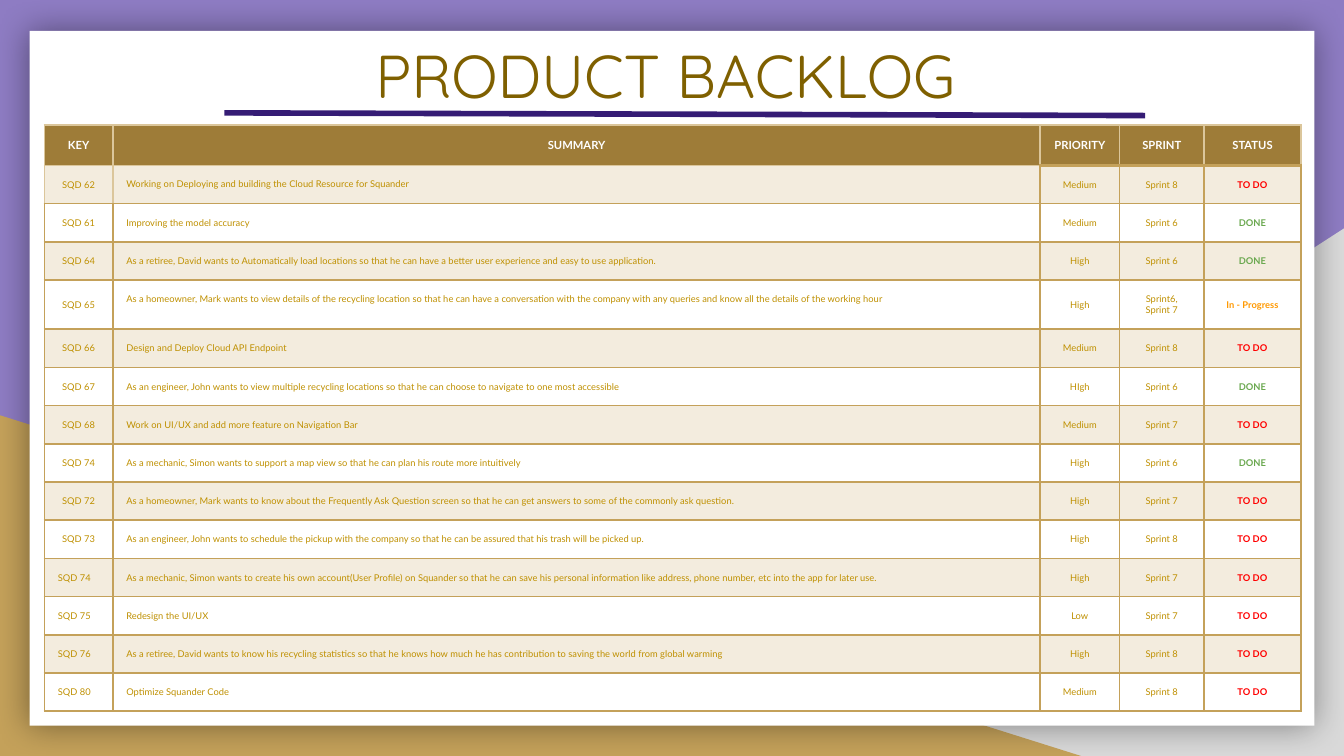
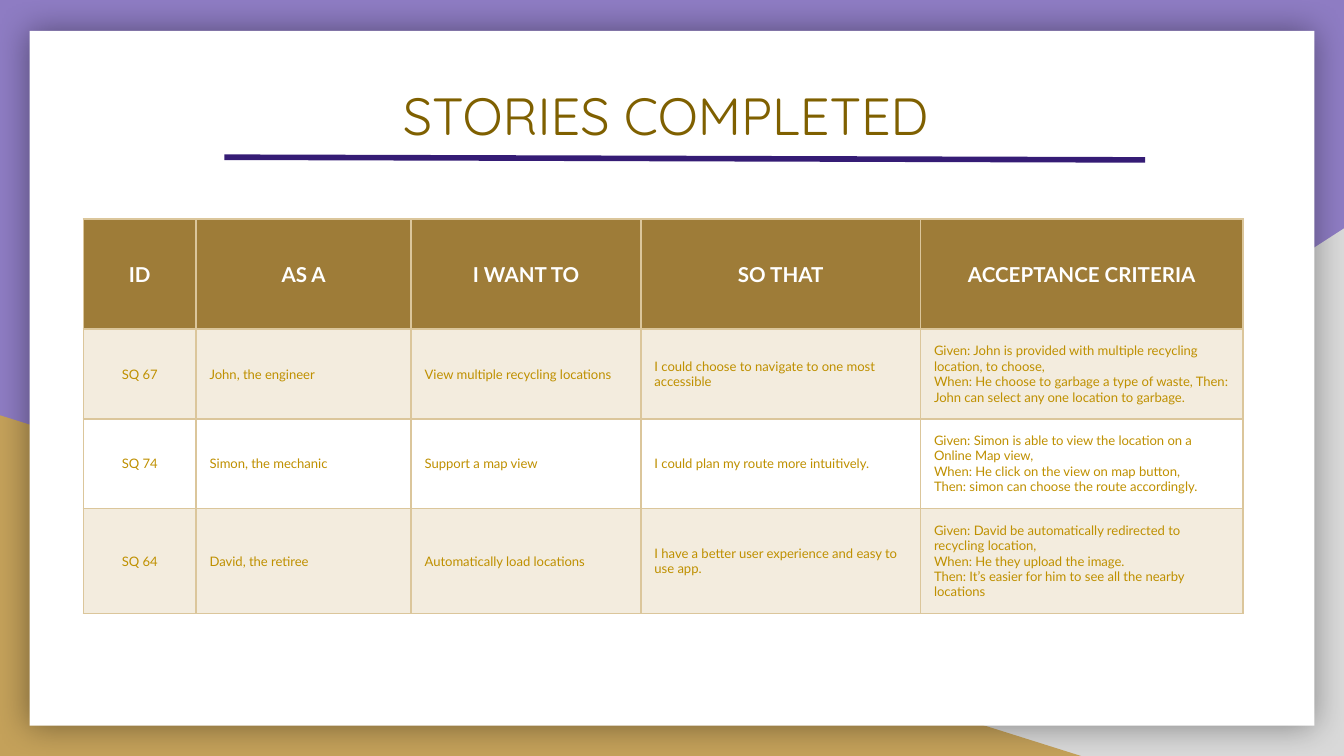
from lxml.etree import SubElement
from pptx import Presentation
from pptx.dml.color import RGBColor
from pptx.enum.shapes import MSO_CONNECTOR, MSO_SHAPE
from pptx.enum.text import MSO_ANCHOR, PP_ALIGN
from pptx.oxml.ns import qn
from pptx.util import Inches, Pt


class Theme:
    """Colours, fonts and type sizes of the deck."""
    back, grey, gold, white = "8E7CC3", "D9D9D9", "C4A15A", "FFFFFF"
    title, rule, head, pale, text = "7F6000", "351C75", "9E7C38", "DBC69B", "BF9000"
    status = {"TO DO": "FF0000", "DONE": "6AA84F", "In - Progress": "FF9900"}
    display, body = "Quicksand", "Lato"
    big, mid = 32.4, 28
    backlog, stories = (6, 5), (11, 7)
    tint = 20


def put(item, values):
    """Set each named value on an item."""
    for name, value in values.items():
        setattr(item, name, value)


def node(parent, tag, **values):
    """Add an XML child with attributes."""
    return SubElement(parent, qn(tag), {k: str(v) for k, v in values.items()})


def tone(parent, color, alpha=None):
    """Add an RGB colour, with opacity in percent if given."""
    part = node(parent, "a:srgbClr", val=color)
    if alpha:
        node(part, "a:alpha", val=alpha * 1000)


class Deck:
    """Holds the style and the slide being drawn."""

    def __init__(self, theme):
        """Start a wide deck."""
        self.theme = theme
        self.file = Presentation()
        put(self.file, {"slide_width": Inches(10), "slide_height": Inches(5.625)})

    def page(self, title, box, size, rule):
        """Add a slide with its backdrop, title and rule."""
        look = self.theme
        self.slide = self.file.slides.add_slide(self.file.slide_layouts[6])
        fill = self.slide.background.fill
        fill.solid()
        fill.fore_color.rgb = RGBColor.from_string(look.back)
        right = self.shape(MSO_SHAPE.RIGHT_TRIANGLE, (3.92, 1.7, 6.08, 3.93), look.grey)
        right._element.spPr.find(qn("a:xfrm")).set("flipH", "1")
        self.shape(MSO_SHAPE.RIGHT_TRIANGLE, (0, 3.09, 8.06, 2.54), look.gold)
        self.shade(self.shape(MSO_SHAPE.RECTANGLE, (0.22, 0.23, 9.56, 5.17), look.white))
        self.title(title, box, size)
        self.line((1.67, rule), (8.52, rule + 0.02))

    def shape(self, kind, box, color):
        """Add a plain filled shape."""
        item = self.slide.shapes.add_shape(kind, *map(Inches, box))
        item.shadow.inherit = False
        item.fill.solid()
        item.fill.fore_color.rgb = RGBColor.from_string(color)
        item.line.fill.background()
        return item

    def shade(self, item):
        """Give a shape a soft shadow on all sides."""
        effect = item._element.spPr.find(qn("a:effectLst"))
        shadow = node(effect, "a:outerShdw", blurRad=Pt(18), dist=0, dir=0,
                      algn="ctr", rotWithShape=0)
        tone(shadow, "000000", 40)

    def font(self, part, name, size, color, bold=False):
        """Style the type of a paragraph."""
        for run in part.runs:
            put(run.font, {"name": name, "size": Pt(size), "bold": bold})
            run.font.color.rgb = RGBColor.from_string(color)

    def title(self, text, box, size):
        """Add the centred title."""
        frame = self.slide.shapes.add_textbox(*map(Inches, box)).text_frame
        put(frame, {"word_wrap": True, "vertical_anchor": MSO_ANCHOR.TOP,
                    **{f"margin_{side}": Inches(0.1)
                       for side in ("left", "top", "right", "bottom")}})
        frame.text = text
        part = frame.paragraphs[0]
        part.alignment = PP_ALIGN.CENTER
        self.font(part, self.theme.display, size, self.theme.title)

    def line(self, start, end):
        """Add the rule below the title."""
        item = self.slide.shapes.add_connector(
            MSO_CONNECTOR.STRAIGHT, *map(Inches, start + end))
        item.line.width = Pt(3)
        item.line.color.rgb = RGBColor.from_string(self.theme.rule)
        node(item._element.spPr, "a:effectLst")

    def table(self, rows, spot, widths, heights, sizes, left, top, edge):
        """Add a table; left, top and edge tell the look of a cell."""
        area = (*spot, sum(widths), sum(heights))
        grid = self.slide.shapes.add_table(
            len(rows), len(widths), *map(Inches, area)).table
        put(grid, {"first_row": False, "horz_banding": False})
        for col, width in zip(grid.columns, widths):
            col.width = Inches(width)
        for row, height in zip(grid.rows, heights):
            row.height = Inches(height)
        for r, row in enumerate(rows):
            for c, text in enumerate(row):
                cell = grid.cell(r, c)
                cell.text = text
                put(cell, {
                    "margin_top": Inches(0.1), "margin_bottom": Inches(0.1),
                    "vertical_anchor": MSO_ANCHOR.TOP if top(r, c) else MSO_ANCHOR.MIDDLE})
                self.frame(cell, edge(r, c))
                self.paint(cell, r)
                for part in cell.text_frame.paragraphs:
                    part.alignment = PP_ALIGN.LEFT if left(r, c) else PP_ALIGN.CENTER
                    color = self.theme.status.get(text, self.theme.text)
                    self.font(part, self.theme.body, sizes[r > 0],
                              color if r else self.theme.white,
                              not r or text in self.theme.status)

    def frame(self, cell, edges):
        """Draw the four borders of a cell."""
        props = cell._tc.get_or_add_tcPr()
        for side in "LRTB":
            color, width = edges[side]
            border = node(props, f"a:ln{side}", w=Pt(width))
            tone(node(border, "a:solidFill"), color)

    def paint(self, cell, r):
        """Fill the head row and tint each odd row."""
        if r and r % 2 == 0:
            cell.fill.background()
            return
        cell.fill.solid()
        cell.fill.fore_color.rgb = RGBColor.from_string(
            self.theme.gold if r else self.theme.head)
        if r:
            color = cell._tc.tcPr.find(qn("a:solidFill"))[0]
            node(color, "a:alpha", val=self.theme.tint * 1000)


BACKLOG = [
    ("KEY", "SUMMARY", "PRIORITY", "SPRINT", "STATUS"),
    ("SQD 62", "Working on Deploying and building the Cloud Resource for Squander",
     "Medium", "Sprint 8", "TO DO"),
    ("SQD 61", "Improving the model accuracy", "Medium", "Sprint 6", "DONE"),
    ("SQD 64", "As a retiree, David wants to Automatically load locations so that he can "
     "have a better user experience and easy to use application.",
     "High", "Sprint 6", "DONE"),
    ("SQD 65", "As a homeowner, Mark wants to view details of the recycling location so "
     "that he can have a conversation with the company with any queries and know all "
     "the details of the working hour", "High", "Sprint6, Sprint 7", "In - Progress"),
    ("SQD 66", "Design and Deploy Cloud API Endpoint", "Medium", "Sprint 8", "TO DO"),
    ("SQD 67", "As an engineer, John wants to view multiple recycling locations so that "
     "he can choose to navigate to one most accessible", "HIgh", "Sprint 6", "DONE"),
    ("SQD 68", "Work on UI/UX and add more feature on Navigation Bar",
     "Medium", "Sprint 7", "TO DO"),
    ("SQD 74", "As a mechanic, Simon wants to support a map view so that he can plan his "
     "route more intuitively", "High", "Sprint 6", "DONE"),
    ("SQD 72", "As a homeowner, Mark wants to know about the Frequently Ask Question "
     "screen so that he can get answers to some of the commonly ask question.",
     "High", "Sprint 7", "TO DO"),
    ("SQD 73", "As an engineer, John wants to schedule the pickup with the company so "
     "that he can be assured that his trash will be picked up.",
     "High", "Sprint 8", "TO DO"),
    ("SQD 74", "As a mechanic, Simon wants to create his own account(User Profile) on "
     "Squander so that he can save his personal information like address, phone number, "
     "etc into the app for later use.", "High", "Sprint 7", "TO DO"),
    ("SQD 75", "Redesign the UI/UX", "Low", "Sprint 7", "TO DO"),
    ("SQD 76", "As a retiree, David wants to know his recycling statistics so that he "
     "knows how much he has contribution to saving the world from global warming",
     "High", "Sprint 8", "TO DO"),
    ("SQD 80", "Optimize Squander Code", "Medium", "Sprint 8", "TO DO"),
]

STORIES = [
    ("ID", "AS A", "I WANT TO", "SO THAT", "ACCEPTANCE CRITERIA"),
    ("SQ 67", "John, the engineer", "View multiple recycling locations",
     "I could choose to navigate to one most accessible",
     "Given: John is provided with multiple recycling location, to choose,\n"
     "When: He choose to garbage a type of waste, Then: John can select any one "
     "location to garbage."),
    ("SQ 74", "Simon, the mechanic", "Support a map view",
     "I could plan my route more intuitively.",
     "Given: Simon is able to view the location on a Online Map view,\n"
     "When: He click on the view on map button,\n"
     "Then: simon can choose the route accordingly."),
    ("SQ 64", "David, the retiree", "Automatically load locations",
     "I have a better user experience and easy to use app.",
     "Given: David be automatically redirected to recycling location,\n"
     "When: He they upload the image.\n"
     "Then: It’s easier for him to see all the nearby locations"),
]


def edges(r, c):
    """Give the backlog borders: pale at the head, gold below."""
    pale, gold = (Theme.pale, 1), (Theme.gold, 1)
    if r == 0:
        return dict.fromkeys("LRT", pale) | {"B": (Theme.gold, 2) if c > 1 else pale}
    if r == 1 and c < 2:
        return {"L": pale, "T": pale, "R": gold if c else pale, "B": gold}
    return dict.fromkeys("LRTB", gold)


def main():
    """Build both slides and save them."""
    deck = Deck(Theme)
    deck.page("PRODUCT BACKLOG", (1.47, 0.18, 6.96, 0.65), Theme.big, 0.84)
    step = (4.36 - 0.3 - 0.36) / 13
    deck.table(BACKLOG, (0.33, 0.93), (0.51, 6.9, 0.59, 0.63, 0.72),
               [0.3] + [step] * 3 + [0.36] + [step] * 10, Theme.backlog,
               left=lambda r, c: r and c == 1 or r > 10 and c == 0,
               top=lambda r, c: r and c == 1 or r > 4, edge=edges)
    deck.page("STORIES COMPLETED ", (0.9, 0.52, 8.21, 1.04), Theme.mid, 1.17)
    deck.table(STORIES, (0.62, 1.63), (0.84, 1.6, 1.71, 2.08, 2.4),
               [0.82] + [0.55] * 3, Theme.stories,
               left=lambda r, c: r and c, top=lambda r, c: False,
               edge=lambda r, c: dict.fromkeys("LRTB", (Theme.pale, 1)))
    deck.file.save("out.pptx")


if __name__ == "__main__":
    main()
